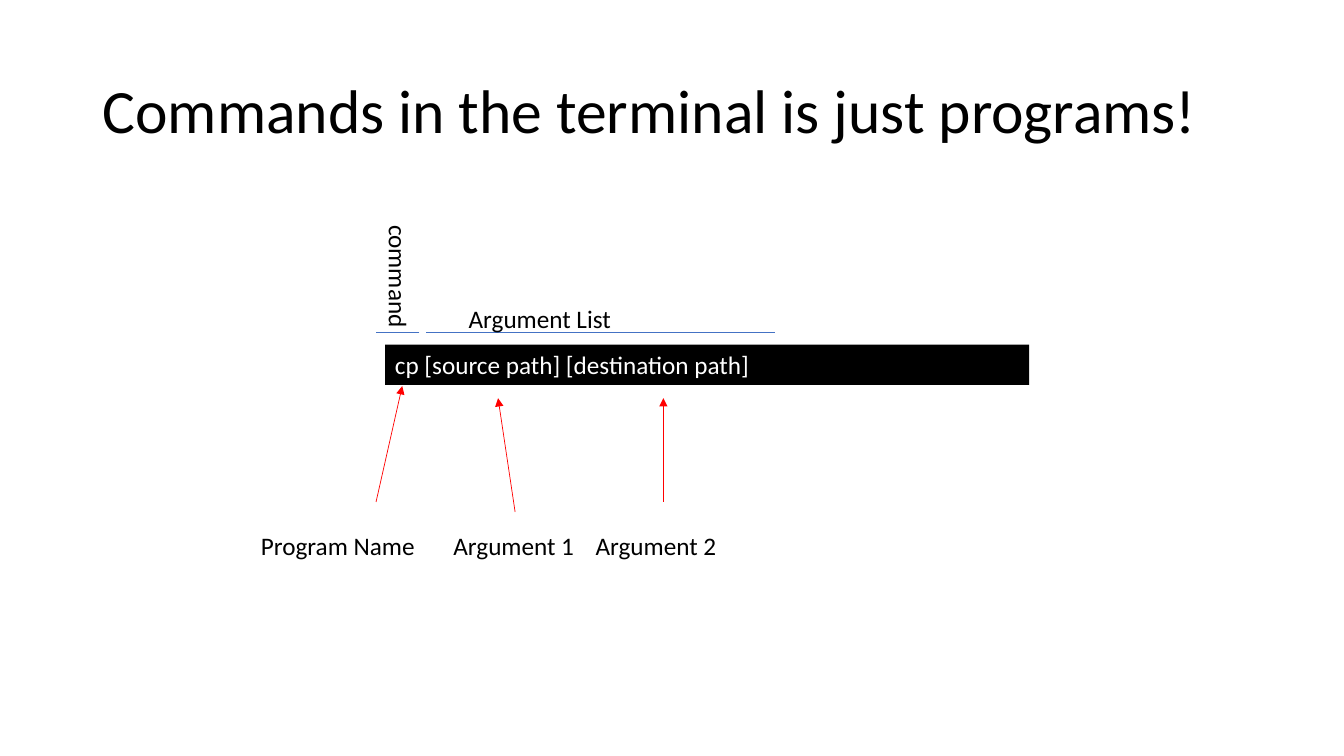
from pptx import Presentation
from pptx.dml.color import RGBColor
from pptx.enum.shapes import MSO_CONNECTOR as Line, MSO_SHAPE as Shape
from pptx.enum.text import MSO_ANCHOR as Anchor, MSO_AUTO_SIZE as AutoSize
from pptx.oxml.ns import qn
from pptx.util import Inches, Pt
from lxml import etree

COLORS = {"text": "000000", "bar": "000000", "bar_text": "FFFFFF",
          "arrow": "FF0000", "bracket": "4472C4"}
FONT = "Calibri"

# Positions are in a grid of 100 columns by 100 rows over the slide.
ROW_H = 5.33
LABEL_TOP = 69.47
BRACKET_TOP = 44
TITLE = ("Commands in the terminal is just programs!", (6.9, 5.33, 86.25, 19.33))
COMMAND_BAR = ("cp [source path] [destination path]", (28.65, 45.6, 47.93, ROW_H))
LABELS = [  # text, left, top, width, rotation
    ("Program Name", 18.68, LABEL_TOP, 13.05, 0),
    ("Argument 1", 33, LABEL_TOP, 10.58, 0),
    ("Argument 2", 43.58, LABEL_TOP, 10.58, 0),
    ("command", 25.06, 34, 9.23, 90),
    ("Argument List", 34.13, 39.47, 12.23, 0),
]
ARROWS = [  # from, to
    ((27.98, 66.4), (29.93, 51.07)),
    ((38.33, 67.73), (37.06, 52.67)),
    ((49.36, 66.4), (49.36, 52.67)),
]
BRACKETS = [(31.2, 27.98), (31.73, 57.68)]  # from column, to column

prs = Presentation()
prs.slide_width, prs.slide_height = Inches(13.33), Inches(7.5)
slide = prs.slides.add_slide(prs.slide_layouts[6])


def col(n):
    return int(prs.slide_width * n / 100)


def row(n):
    return int(prs.slide_height * n / 100)


def area(left, top, width, height):
    return col(left), row(top), col(width), row(height)


def rgb(name):
    return RGBColor.from_string(COLORS[name])


def write(sp, text, size=18, color="text", line_spacing=1.0, **frame):
    """Put one line of text in a shape; frame holds text frame settings."""
    tf = sp.text_frame
    for name, value in frame.items():
        setattr(tf, name, value)
    p = tf.paragraphs[0]
    p.line_spacing = line_spacing
    r = p.add_run()
    r.text = text
    for name, value in {"name": FONT, "size": Pt(size)}.items():
        setattr(r.font, name, value)
    r.font.color.rgb = rgb(color)


def add_line(start, end, color, arrow=False):
    (x1, y1), (x2, y2) = start, end
    line = slide.shapes.add_connector(
        Line.STRAIGHT, col(x1), row(y1), col(x2), row(y2))
    line.line.color.rgb = rgb(color)
    line.line.width = Pt(0.5)
    if arrow:
        etree.SubElement(line.line._get_or_add_ln(), qn("a:tailEnd"), type="triangle")
    etree.SubElement(line._element.spPr, qn("a:effectLst"))


text, box = TITLE
write(slide.shapes.add_textbox(*area(*box)), text, size=44, line_spacing=0.9,
      word_wrap=True, vertical_anchor=Anchor.MIDDLE)

text, box = COMMAND_BAR
bar = slide.shapes.add_textbox(*area(*box))
bar.fill.solid()
bar.fill.fore_color.rgb = rgb("bar")
write(bar, text, color="bar_text", word_wrap=True,
      auto_size=AutoSize.SHAPE_TO_FIT_TEXT)

for start, end in ARROWS:
    add_line(start, end, "arrow", arrow=True)
for x1, x2 in BRACKETS:
    add_line((x1, BRACKET_TOP), (x2, BRACKET_TOP), "bracket")

for text, left, top, width, rotation in LABELS:
    label = slide.shapes.add_textbox(*area(left, top, width, ROW_H))
    label.rotation = rotation
    write(label, text, word_wrap=False, auto_size=AutoSize.SHAPE_TO_FIT_TEXT)

prs.save("out.pptx")
